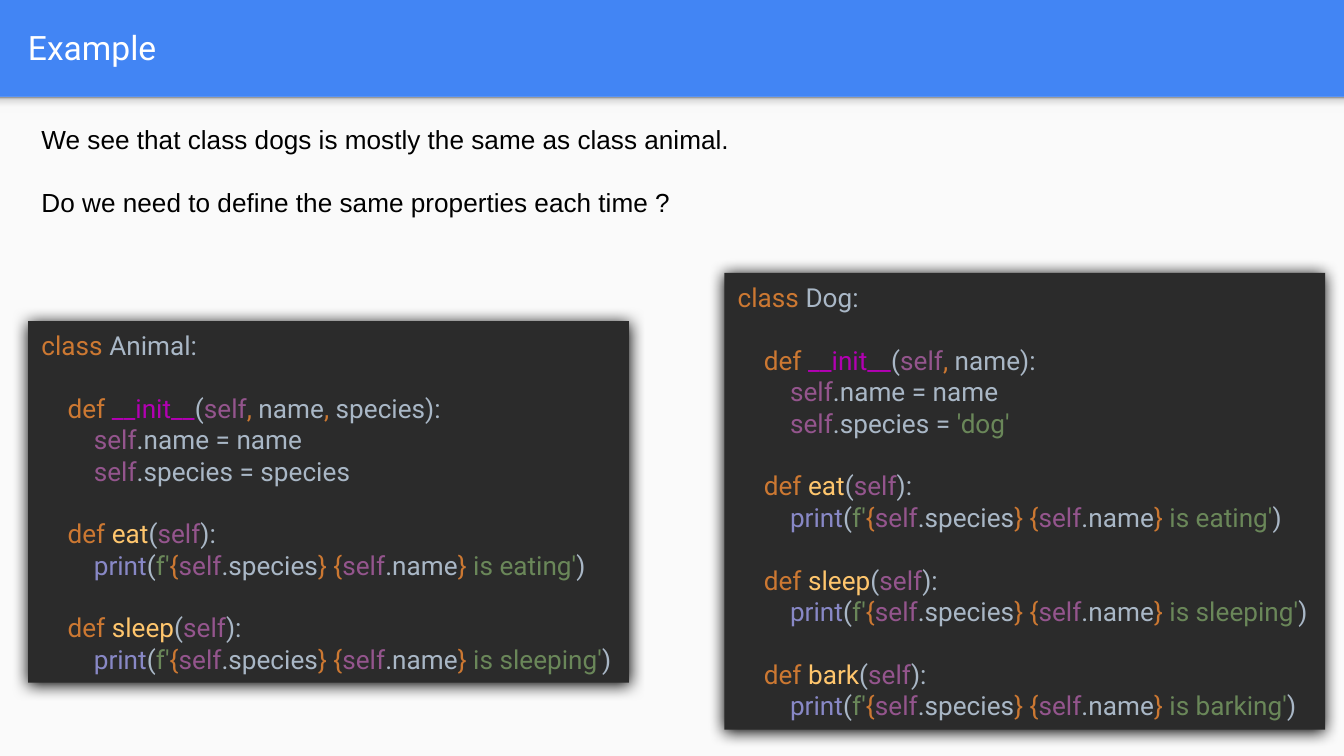
from dataclasses import dataclass
from typing import NamedTuple

from lxml import etree
from pptx import Presentation
from pptx.dml.color import RGBColor
from pptx.enum.shapes import MSO_SHAPE
from pptx.enum.text import MSO_ANCHOR
from pptx.oxml.ns import qn
from pptx.util import Inches, Pt

RECTANGLE = MSO_SHAPE.RECTANGLE
MIDDLE = MSO_ANCHOR.MIDDLE

KEYWORD = "CC7832"
PLAIN = "A9B7C6"
MAGIC = "B200B2"
SELF = "94558D"
FUNCTION = "FFC66D"
BUILTIN = "8888C6"
STRING = "6A8759"

INDENT = 0.195
BLANK_LINE = 16.8
CODE_SIZE = 14


class Token(NamedTuple):
    text: str
    color: str


@dataclass
class CodeLine:
    level: int
    tokens: list[Token]
    gap: bool = False


@dataclass
class CodeCard:
    left: float
    top: float
    width: float
    height: float
    lines: list[CodeLine]


SELF_TOKEN = Token("self", SELF)
OPEN = Token("(", PLAIN)
COMMA = Token(", ", KEYWORD)


def class_line(name: str) -> CodeLine:
    return CodeLine(0, [Token("class ", KEYWORD), Token(f"{name}:", PLAIN)])


def definition(name: str, color: str, arguments: list[Token]) -> CodeLine:
    tokens = [Token("def ", KEYWORD), Token(name, color), OPEN, SELF_TOKEN]
    return CodeLine(1, tokens + arguments, gap=True)


def assignment(field: str, value: Token) -> CodeLine:
    return CodeLine(2, [SELF_TOKEN, Token(f".{field} = ", PLAIN), value])


def method(name: str) -> list[CodeLine]:
    message = [
        Token("print", BUILTIN), OPEN, Token("f'", STRING), Token("{", KEYWORD),
        SELF_TOKEN, Token(".species", PLAIN), Token("} {", KEYWORD),
        SELF_TOKEN, Token(".name", PLAIN), Token("}", KEYWORD),
        Token(f" is {name}ing'", STRING), Token(")", PLAIN),
    ]
    return [definition(name, FUNCTION, [Token("):", PLAIN)]), CodeLine(2, message)]


ANIMAL = CodeCard(0.21, 2.39, 4.47, 2.69, [
    class_line("Animal"),
    definition("__init__", MAGIC, [
        COMMA, Token("name", PLAIN), COMMA, Token("species):", PLAIN)]),
    assignment("name", Token("name", PLAIN)),
    assignment("species", Token("species", PLAIN)),
    *method("eat"),
    *method("sleep"),
])
DOG = CodeCard(5.39, 2.03, 4.47, 3.4, [
    class_line("Dog"),
    definition("__init__", MAGIC, [COMMA, Token("name):", PLAIN)]),
    assignment("name", Token("name", PLAIN)),
    assignment("species", Token("'dog'", STRING)),
    *method("eat"),
    *method("sleep"),
    *method("bark"),
])


def rgb(color: str) -> RGBColor:
    return RGBColor.from_string(color)


def add_rectangle(page, left: float, top: float, width: float, height: float, color: str):
    box = page.shapes.add_shape(
        RECTANGLE, Inches(left), Inches(top), Inches(width), Inches(height))
    box.shadow.inherit = False
    box.fill.solid()
    box.fill.fore_color.rgb = rgb(color)
    box.line.fill.background()
    return box


def add_text(page, left: float, top: float, width: float, height: float,
             lines: list[str], font: str, size: float, color: str):
    box = page.shapes.add_textbox(
        Inches(left), Inches(top), Inches(width), Inches(height))
    frame = box.text_frame
    frame.word_wrap = True
    for index, line in enumerate(lines):
        para = frame.add_paragraph() if index else frame.paragraphs[0]
        para.text = line
        para.font.name = font
        para.font.size = Pt(size)
        para.font.color.rgb = rgb(color)
        para.space_before = Pt(BLANK_LINE if index else 0)
    return box


def shade(box, stops: list[tuple[int, str]], angle: float) -> None:
    box.fill.gradient()
    box.fill.gradient_angle = angle
    stop_list = box._element.spPr.find(".//" + qn("a:gsLst"))
    for stop in list(stop_list):
        stop_list.remove(stop)
    for percent, color in stops:
        stop = etree.SubElement(stop_list, qn("a:gs"), pos=str(percent * 1000))
        etree.SubElement(stop, qn("a:srgbClr"), val=color)


def cast_shadow(box, color: str, blur: float, distance: float) -> None:
    effects = box._element.spPr.find(qn("a:effectLst"))
    shadow = etree.SubElement(
        effects, qn("a:outerShdw"), blurRad=str(Pt(blur)), dist=str(Pt(distance)),
        dir="5400000", algn="t", rotWithShape="0")
    etree.SubElement(shadow, qn("a:srgbClr"), val=color)


def add_code_card(page, card: CodeCard) -> None:
    box = add_rectangle(page, card.left, card.top, card.width, card.height, "2B2B2B")
    cast_shadow(box, "000000", 8.5, 1)
    frame = box.text_frame
    frame.word_wrap = False
    frame.vertical_anchor = MIDDLE
    for index, line in enumerate(card.lines):
        para = frame.add_paragraph() if index else frame.paragraphs[0]
        para.font.name = "Roboto"
        para.font.size = Pt(CODE_SIZE)
        para.space_before = Pt(BLANK_LINE if line.gap else 0)
        properties = para._p.get_or_add_pPr()
        properties.set("algn", "l")
        properties.set("marL", str(Inches(INDENT * line.level)))
        for token in line.tokens:
            span = para.add_run()
            span.text = token.text
            span.font.color.rgb = rgb(token.color)


deck = Presentation()
deck.slide_width = Inches(10)
deck.slide_height = Inches(10 * 9 / 16)
page = deck.slides.add_slide(deck.slide_layouts[6])
page.background.fill.solid()
page.background.fill.fore_color.rgb = rgb("4285F4")

add_rectangle(page, 0, 0.72, 10, 4.91, "FAFAFA")
header_shade = add_rectangle(page, 0, 0.72, 10, 0.12, "F9F9F9")
shade(header_shade, [(0, "F9F9F9"), (36, "F9F9F9"), (80, "DEDEDE"), (100, "999999")], 90)

title = add_text(page, 0.11, 0.02, 9.65, 0.66, ["Example"], "Roboto", 18, "FFFFFF")
title.text_frame.vertical_anchor = MIDDLE

for card in (ANIMAL, DOG):
    add_code_card(page, card)

add_text(page, 0.21, 0.87, 9.65, 0.81, [
    "We see that class dogs is mostly the same as class animal.",
    "Do we need to define the same properties each time ?",
], "Arial", 14, "000000")

deck.save("out.pptx")
